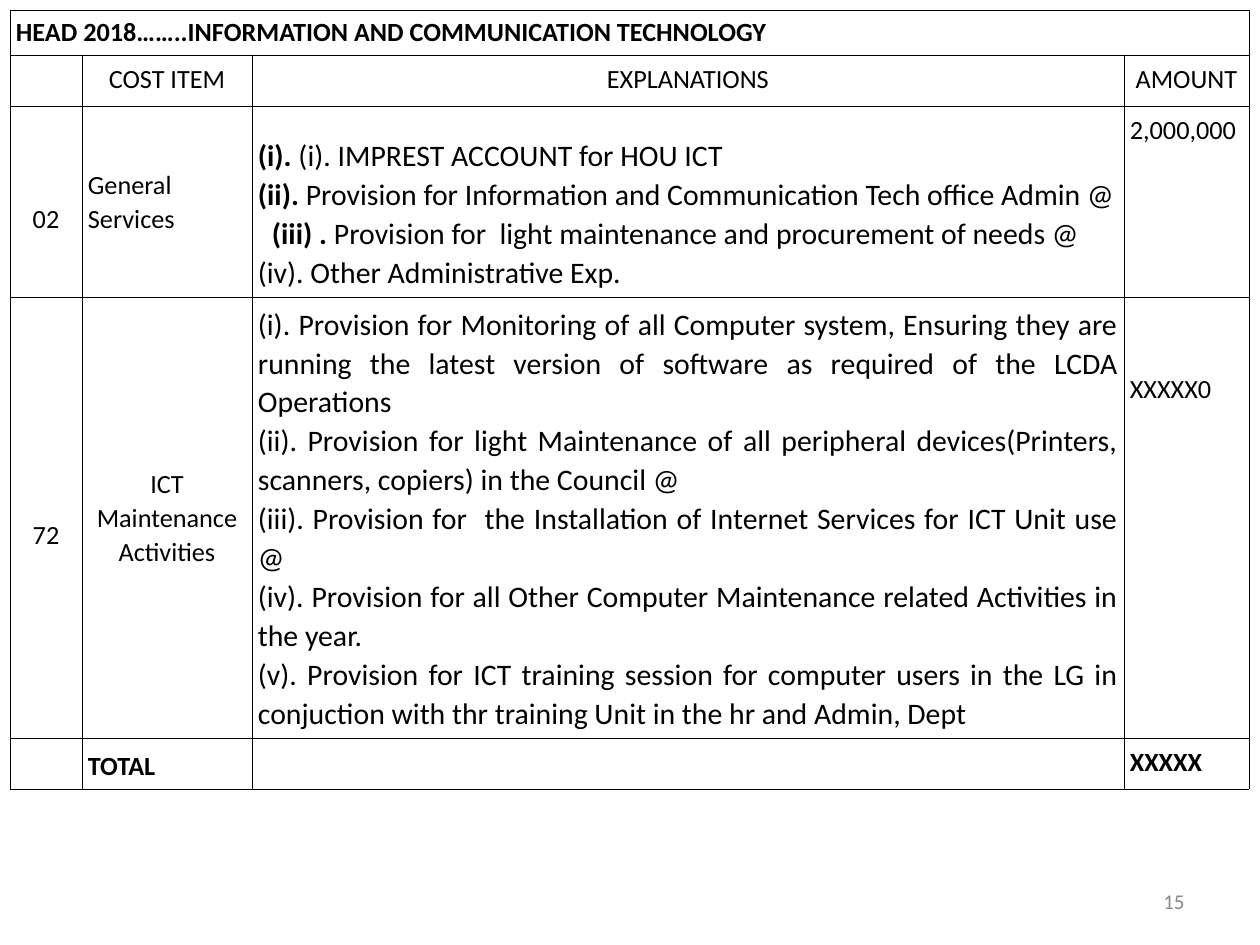
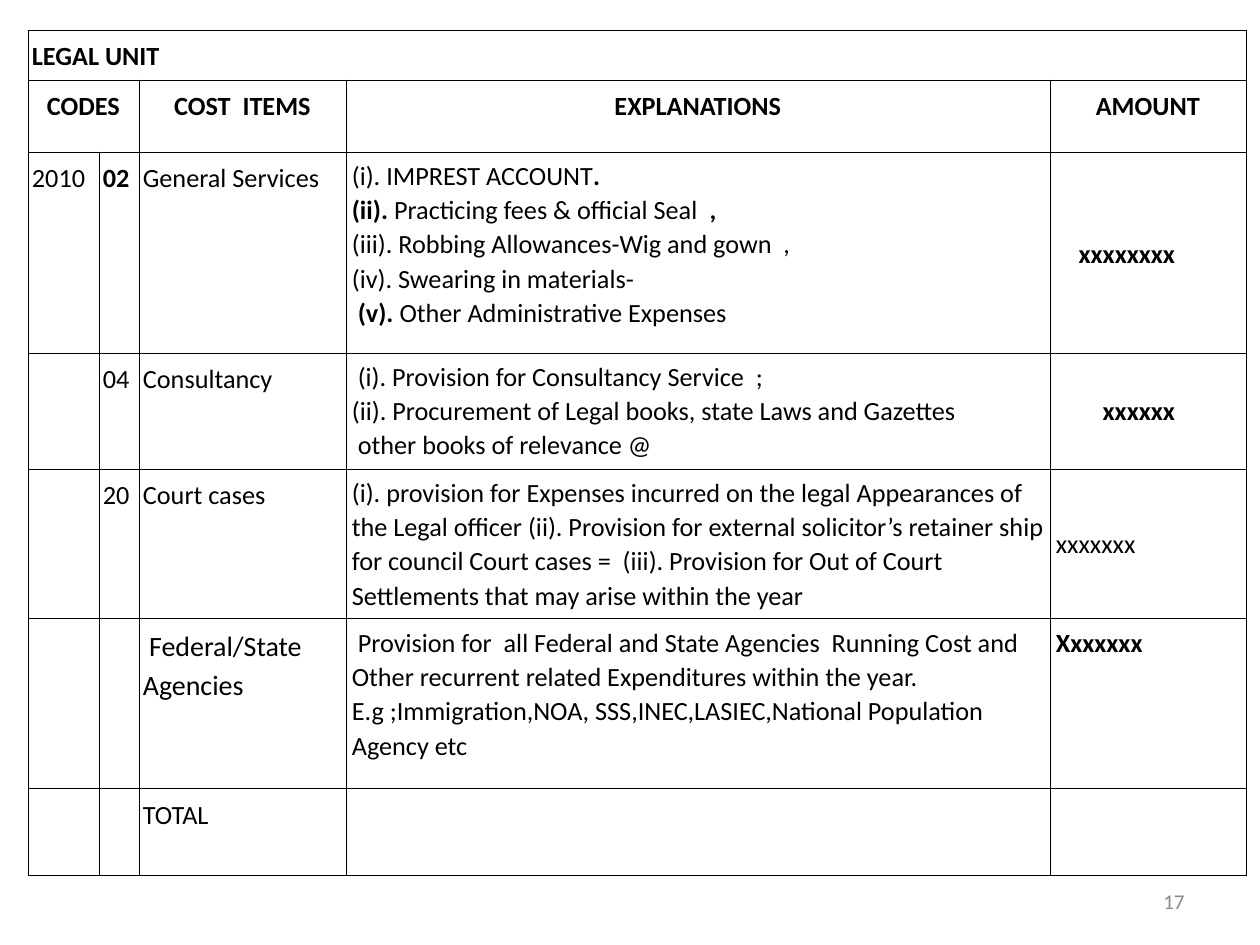
from lxml import etree
from pptx import Presentation
from pptx import util as u
from pptx.dml.color import RGBColor
from pptx.enum import text
from pptx.oxml import ns

BLACK = RGBColor(0x00, 0x00, 0x00)
GREY = RGBColor(0x89, 0x89, 0x89)
LEFT, CENTER, RIGHT, JUSTIFY = (
    text.PP_ALIGN.LEFT, text.PP_ALIGN.CENTER, text.PP_ALIGN.RIGHT, text.PP_ALIGN.JUSTIFY)
TOP, MIDDLE, BOTTOM = (
    text.MSO_ANCHOR.TOP, text.MSO_ANCHOR.MIDDLE, text.MSO_ANCHOR.BOTTOM)
PX_PER_INCH = 126
LOOSE = {"side": 4, "spacing": 1.15}


def px(length):
    return u.Emu(round(length * 914400 / PX_PER_INCH))


class BudgetDeck:
    font = "Calibri"
    body_size = 15
    border_width = u.Pt(0.45)

    def __init__(self):
        self.presentation = Presentation()
        self.presentation.slide_width = px(1260)
        self.presentation.slide_height = px(945)
        self.slide = None
        self.table = None

    def add_slide(self):
        self.slide = self.presentation.slides.add_slide(self.presentation.slide_layouts[6])

    def style_run(self, run, size, color, bold=False):
        run.font.name = self.font
        run.font.size = u.Pt(size)
        run.font.color.rgb = color
        run.font.bold = bold

    def add_page_number(self, number):
        box = self.slide.shapes.add_textbox(px(903), px(876), px(294), px(50))
        frame = box.text_frame
        frame.word_wrap = True
        frame.vertical_anchor = MIDDLE
        frame.text = str(number)
        paragraph = frame.paragraphs[0]
        paragraph.alignment = RIGHT
        self.style_run(paragraph.runs[0], 12, GREY)

    def add_table(self, left, top, widths, heights):
        shape = self.slide.shapes.add_table(
            len(heights), len(widths), px(left), px(top), px(sum(widths)), px(sum(heights)))
        self.table = shape.table
        self.table.first_row = False
        self.table.horz_banding = False
        for column, width in zip(self.table.columns, widths):
            column.width = px(width)
        for row, height in zip(self.table.rows, heights):
            row.height = px(height)
        for cell in self.table.iter_cells():
            cell.fill.background()
            self.add_borders(cell)

    def add_borders(self, cell):
        properties = cell._tc.get_or_add_tcPr()
        for index, side in enumerate(("a:lnL", "a:lnR", "a:lnT", "a:lnB")):
            line = etree.Element(ns.qn(side), w=str(self.border_width))
            fill = etree.SubElement(line, ns.qn("a:solidFill"))
            etree.SubElement(fill, ns.qn("a:srgbClr"), val=str(BLACK))
            properties.insert(index, line)

    def merge(self, row, first, last):
        self.table.cell(row, first).merge(self.table.cell(row, last))

    def fill_cell(self, row, column, content, align=LEFT, anchor=TOP, size=body_size,
                  side=6, spacing=1.07, extra_top=0, extra_right=0, indents=None):
        cell = self.table.cell(row, column)
        cell.vertical_anchor = anchor
        cell.margin_left = px(side)
        cell.margin_right = px(side + extra_right)
        cell.margin_top = px(6 + extra_top)
        cell.margin_bottom = px(6)
        frame = cell.text_frame
        for index, line in enumerate(content.split("\n")):
            paragraph = frame.add_paragraph() if index else frame.paragraphs[0]
            paragraph.alignment = align
            paragraph.line_spacing = spacing
            indent = (indents or {}).get(index)
            if indent:
                paragraph._p.get_or_add_pPr().set("marL", str(px(indent)))
            for part, words in enumerate(line.split("**")):
                if words:
                    run = paragraph.add_run()
                    run.text = words
                    self.style_run(run, size, BLACK, bold=part % 2 == 1)


def build_ict_budget(deck):
    deck.add_slide()
    deck.add_page_number(15)
    deck.add_table(10, 10, [72, 170, 872, 125], [45, 51, 191, 441, 51])
    deck.merge(0, 0, 3)
    deck.fill_cell(0, 0, "**HEAD 2018……..INFORMATION AND COMMUNICATION TECHNOLOGY**",
                   anchor=BOTTOM, spacing=1.0)
    for column, heading in enumerate(("COST ITEM", "EXPLANATIONS", "AMOUNT"), 1):
        deck.fill_cell(1, column, heading, CENTER)

    for row, code in ((2, "02"), (3, "72")):
        deck.fill_cell(row, 0, code, CENTER, MIDDLE, extra_top=34)
    deck.fill_cell(2, 1, "General Services", anchor=MIDDLE)
    deck.fill_cell(
        2, 2,
        "**(i).** (i). IMPREST ACCOUNT for HOU ICT\n"
        "**(ii).** Provision for Information and Communication Tech office Admin @\n"
        "**(iii) . **Provision for  light maintenance and procurement of needs @\n"
        "(iv). Other Administrative Exp.",
        anchor=BOTTOM, size=17, indents={2: 14})
    deck.fill_cell(2, 3, "2,000,000")

    deck.fill_cell(3, 1, "ICT Maintenance Activities", CENTER, MIDDLE)
    deck.fill_cell(
        3, 2,
        "(i). Provision for Monitoring of all Computer system, Ensuring they are running "
        "the latest version of software as required of the LCDA Operations\n"
        "(ii). Provision for light Maintenance of all peripheral devices(Printers, "
        "scanners, copiers) in the Council @\n"
        "(iii). Provision for  the Installation of Internet Services for ICT Unit use @\n"
        "(iv). Provision for all Other Computer Maintenance related Activities in the year.\n"
        "(v). Provision for ICT training session for computer users in the LG in "
        "conjuction with thr training Unit in the hr and Admin, Dept",
        JUSTIFY, BOTTOM, size=17)
    deck.fill_cell(3, 3, "XXXXX0", extra_top=68)

    deck.fill_cell(4, 1, "**TOTAL**", anchor=BOTTOM)
    deck.fill_cell(4, 3, "**XXXXX**")


def build_legal_budget(deck):
    deck.add_slide()
    deck.add_table(28, 30, [71, 40, 207, 704, 196], [50, 72, 201, 116, 150, 170, 87])
    deck.merge(0, 0, 4)
    deck.merge(1, 0, 1)
    deck.fill_cell(0, 0, "**LEGAL UNIT**", **LOOSE)
    headings = {0: "CODES", 2: "COST  ITEMS", 3: "EXPLANATIONS", 4: "AMOUNT"}
    for column, heading in headings.items():
        deck.fill_cell(1, column, f"**{heading}**", CENTER, **LOOSE)

    deck.fill_cell(2, 0, "2010", **LOOSE)
    for row, code in enumerate(("**02**", "04", "20"), 2):
        deck.fill_cell(row, 1, code, **LOOSE)
    cost_items = ("General Services", "Consultancy", "Court cases",
                  " Federal/State Agencies", "TOTAL")
    for row, item in enumerate(cost_items, 2):
        deck.fill_cell(row, 2, item, size=16 if "Federal" in item else 15, **LOOSE)

    explanations = (
        "(i). IMPREST ACCOUNT**.**\n"
        "**(ii).** Practicing fees & official Seal ** ,**\n"
        "(iii). Robbing Allowances-Wig and gown  ,\n"
        "(iv). Swearing in materials-\n"
        "** (v). **Other Administrative Expenses",
        " (i). Provision for Consultancy Service  ;\n"
        "(ii). Procurement of Legal books, state Laws and Gazettes\n"
        " other books of relevance @",
        "(i). provision for Expenses incurred on the legal Appearances of the Legal officer "
        "(ii). Provision for external solicitor’s retainer ship for council Court cases =  "
        "(iii). Provision for Out of Court Settlements that may arise within the year",
        " Provision for  all Federal and State Agencies  Running Cost and Other recurrent "
        "related Expenditures within the year. E.g ;Immigration,NOA, SSS,INEC,LASIEC,"
        "National Population Agency etc",
    )
    for row, explanation in enumerate(explanations, 2):
        deck.fill_cell(row, 3, explanation)

    deck.fill_cell(2, 4, "**xxxxxxxx**", CENTER, MIDDLE, extra_right=42, **LOOSE)
    deck.fill_cell(3, 4, "**xxxxxx**", CENTER, MIDDLE, extra_right=18)
    deck.fill_cell(4, 4, "xxxxxxx", anchor=MIDDLE)
    deck.fill_cell(5, 4, "**Xxxxxxx**")
    deck.add_page_number(17)


def main():
    deck = BudgetDeck()
    build_ict_budget(deck)
    build_legal_budget(deck)
    deck.presentation.save("out.pptx")


if __name__ == "__main__":
    main()
